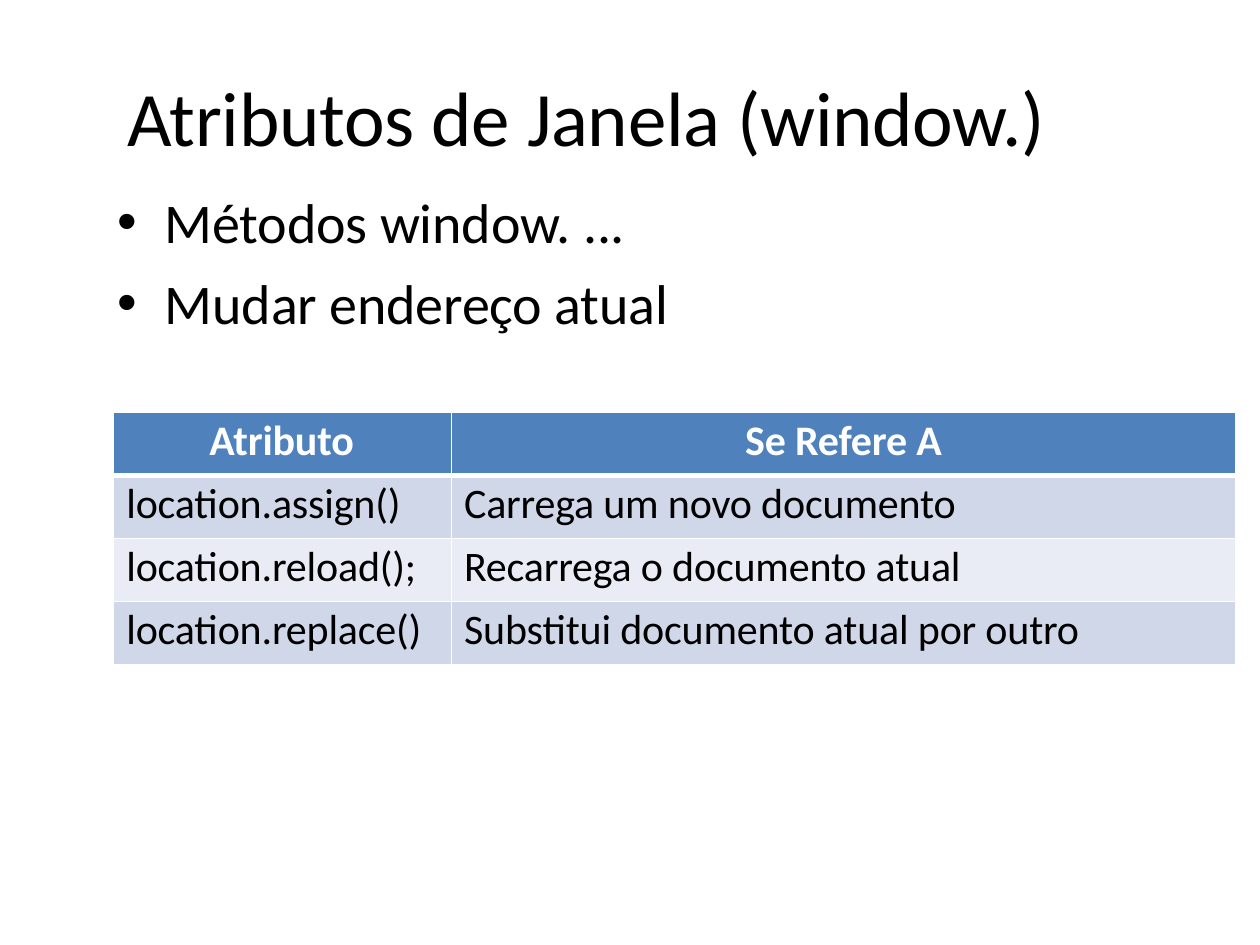
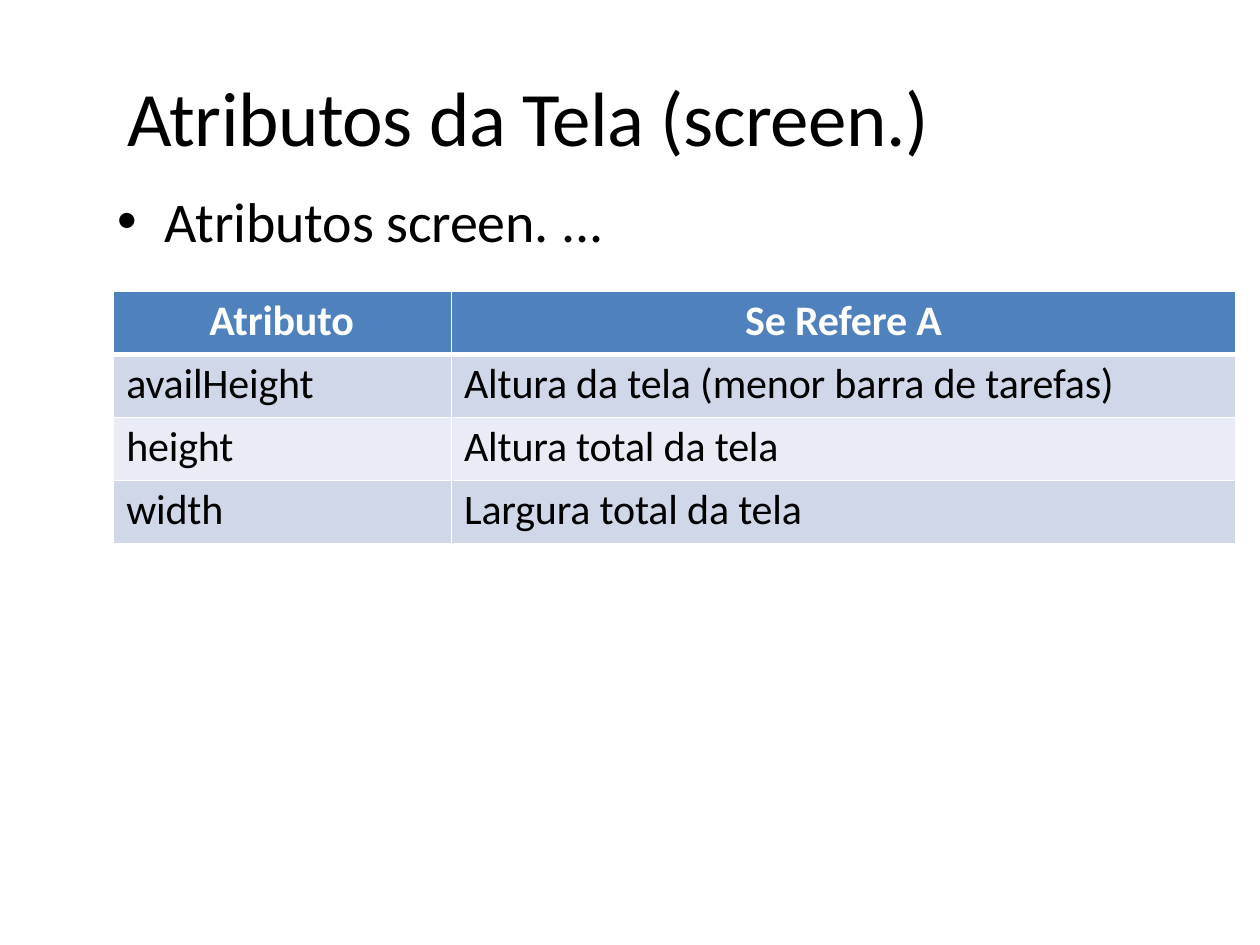
"""Build two slides about the JavaScript window and screen objects."""
from lxml import etree
from pptx import Presentation
from pptx.dml.color import RGBColor
from pptx.enum.text import MSO_ANCHOR, MSO_AUTO_SIZE, PP_ALIGN
from pptx.oxml.ns import qn
from pptx.util import Pt

LEFT, CENTER = PP_ALIGN.LEFT, PP_ALIGN.CENTER
TOP, NO_AUTOFIT = MSO_ANCHOR.TOP, MSO_AUTO_SIZE.NONE
FONT = "Calibri"
BLACK, WHITE, HEADER_BLUE = "000000", "FFFFFF", "4F81BC"
ROW_BANDS = ["E9ECF4", "D0D7E8"]
COLUMN_WIDTHS = [193, 448]
ROW_HEIGHT = 36
HEADINGS = ("Atributo", "Se Refere A")

SLIDES = [
    {
        "title": "Atributos de Janela (window.)",
        "title_width": 532, "title_spacing": -0.17,
        "bullets": [("Métodos window. ...", 8.7), ("Mudar endereço atual", 7.7)],
        "bullet_box": (66.2, 98.6, 319, 94.3), "bullet_inset": 8.6,
        "table_top": 235.6,
        "rows": [
            ("location.assign()", "Carrega um novo documento"),
            ("location.reload();", "Recarrega o documento atual"),
            ("location.replace()", "Substitui documento atual por outro"),
        ],
    },
    {
        "title": "Atributos da Tela (screen.)",
        "title_width": 469, "title_spacing": -0.3,
        "bullets": [("Atributos screen. ...", 1.1)],
        "bullet_box": (66.2, 105.8, 281.5, 40.3), "bullet_inset": 0.9,
        "table_top": 166.6,
        "rows": [
            ("availHeight", "Altura da tela (menor barra de tarefas)"),
            ("height", "Altura total da tela"),
            ("width", "Largura total da tela"),
        ],
    },
]


def rgb(hex_color):
    return RGBColor.from_string(hex_color)


def write(paragraph, text, *, size, color=BLACK, bold=False, align=LEFT,
          before=0, indent=0, hanging=0, spacing=-0.1, bullet=None):
    paragraph.alignment = align
    paragraph.space_before = Pt(before)
    properties = paragraph._p.get_or_add_pPr()
    properties.set("marL", str(Pt(indent)))
    properties.set("indent", str(Pt(-hanging)))
    if bullet:
        etree.SubElement(properties, qn("a:buFont"), typeface="Arial")
        etree.SubElement(properties, qn("a:buChar"), char=bullet)
    run = paragraph.add_run()
    run.text = text
    run.font.name, run.font.size, run.font.bold = FONT, Pt(size), bold
    run.font.color.rgb = rgb(color)
    run._r.get_or_add_rPr().set("spc", str(round(spacing * 100)))


prs = Presentation()
prs.slide_width, prs.slide_height = Pt(720), Pt(540)

for content in SLIDES:
    slide = prs.slides.add_slide(prs.slide_layouts[5])

    title = slide.shapes.title
    title.left, title.top = Pt(72), Pt(38.9)
    title.width, title.height = Pt(content["title_width"]), Pt(54.7)
    bullet_list = slide.shapes.add_textbox(*map(Pt, content["bullet_box"]))
    for holder, inset in ((title, 0.9), (bullet_list, content["bullet_inset"])):
        frame = holder.text_frame
        frame.word_wrap, frame.auto_size = True, NO_AUTOFIT
        frame.vertical_anchor = TOP
        frame.margin_left = frame.margin_right = frame.margin_bottom = 0
        frame.margin_top = Pt(inset)

    write(title.text_frame.paragraphs[0], content["title"], size=44, before=1.1,
          indent=0.9, spacing=content["title_spacing"])

    for position, (text, before) in enumerate(content["bullets"]):
        frame = bullet_list.text_frame
        paragraph = frame.add_paragraph() if position else frame.paragraphs[0]
        write(paragraph, text, size=32, before=before, indent=28, hanging=27.3,
              bullet="•")

    lines = [HEADINGS, *content["rows"]]
    attributes = slide.shapes.add_table(
        len(lines), len(COLUMN_WIDTHS), Pt(65), Pt(content["table_top"]),
        Pt(sum(COLUMN_WIDTHS)), Pt(ROW_HEIGHT * len(lines))).table
    for column, width in zip(attributes.columns, COLUMN_WIDTHS):
        column.width = Pt(width)

    for row, line in enumerate(lines):
        attributes.rows[row].height = Pt(ROW_HEIGHT)
        is_header = row == 0
        for column, text in enumerate(line):
            cell = attributes.cell(row, column)
            cell.margin_left = cell.margin_right = cell.margin_bottom = 0
            cell.margin_top = Pt(2.2)
            widths = {"lnL": 1, "lnR": 1, "lnT": 3 if row == 1 else 1,
                      "lnB": 3 if is_header else 1}
            for edge, width in widths.items():
                border = etree.SubElement(cell._tc.get_or_add_tcPr(),
                                          qn(f"a:{edge}"), w=str(Pt(width)))
                solid = etree.SubElement(border, qn("a:solidFill"))
                etree.SubElement(solid, qn("a:srgbClr"), val=WHITE)
            cell.fill.solid()
            cell.fill.fore_color.rgb = rgb(HEADER_BLUE if is_header else ROW_BANDS[row % 2])
            centered = is_header and column == 1
            indent = 0 if centered else 54.7 if is_header else 7.2
            write(cell.text_frame.paragraphs[0], text, size=24, before=2.1,
                  color=WHITE if is_header else BLACK, bold=is_header,
                  align=CENTER if centered else LEFT, indent=indent)

prs.save("out.pptx")
